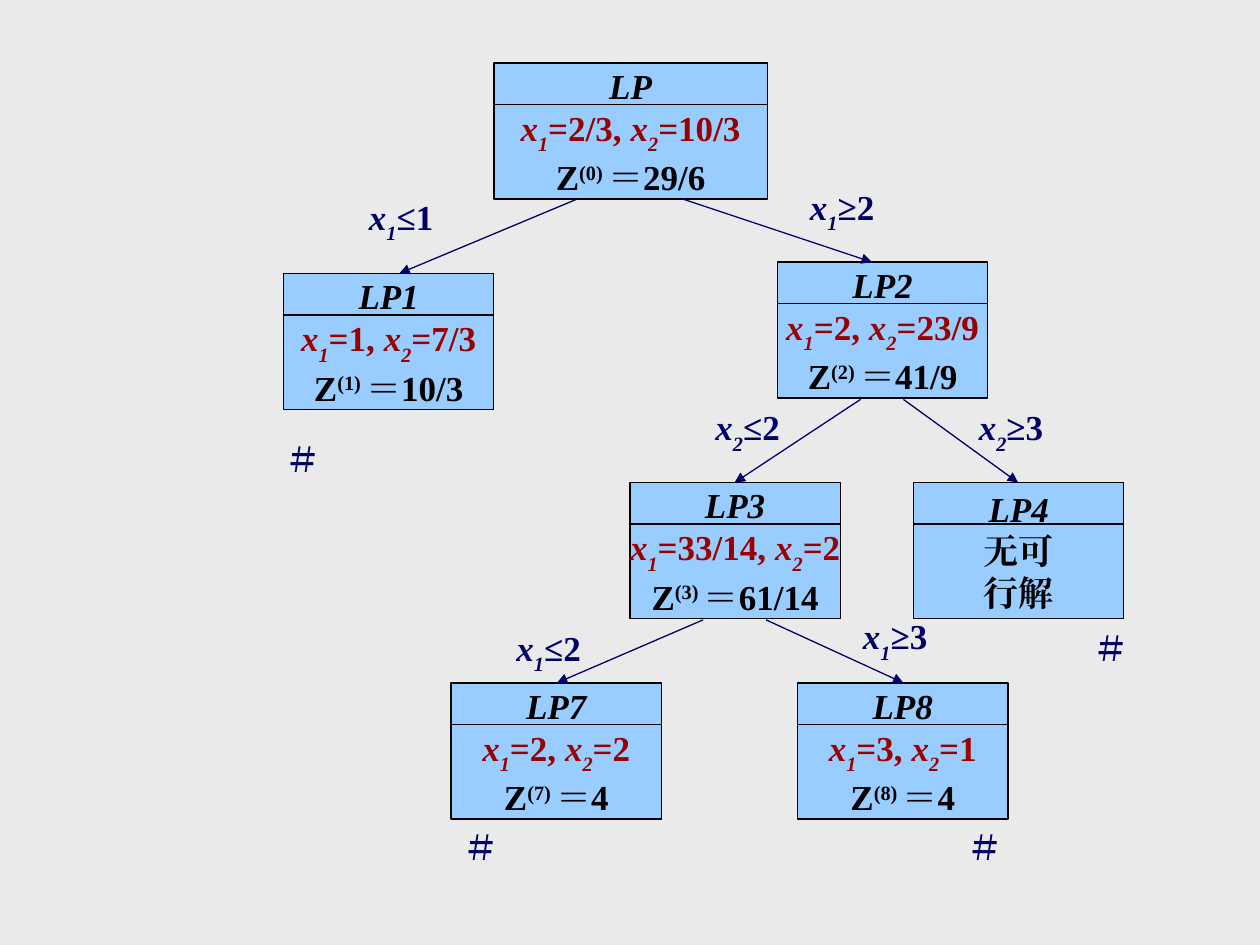
from pptx import Presentation
from pptx.dml.color import RGBColor
from pptx.enum.shapes import MSO_CONNECTOR, MSO_SHAPE
from pptx.enum.text import MSO_ANCHOR, MSO_AUTO_SIZE, PP_ALIGN
from pptx.oxml.ns import qn
from pptx.util import Inches, Pt
from lxml.etree import SubElement

BLACK, NAVY, RED = "000000", "000066", "990000"
SKY, GREY = "99CCFF", "EAEAEA"
BOX_W, BOX_H, HEAD_H = 1.67, 1.08, 0.33
SUB, SUP = -30, 30


def rgb(value):
    return RGBColor.from_string(value)


def variable(index, rest):
    return [("x", True, 0), (str(index), True, SUB), (rest, False, 0)]


def solution(x1, x2):
    return variable(1, f"={x1}, ") + variable(2, f"={x2}")


def objective(index, value):
    return [("Z", False, 0), (f"({index}) ", False, SUP), (f"＝{value}", False, 0)]


class TreeSlide:
    font, size, line_width = "Times New Roman", Pt(20), Pt(0.75)

    def __init__(self, prs):
        self.s = prs.slides.add_slide(prs.slide_layouts[6])
        fill = self.s.background.fill
        fill.solid()
        fill.fore_color.rgb = rgb(GREY)

    def runs(self, p, parts, color):
        for text, italic, baseline in parts:
            r = p.add_run()
            r.text = text
            r.font.name, r.font.size = self.font, self.size
            r.font.bold, r.font.italic = True, italic
            r.font.color.rgb = rgb(color)
            r_pr = r.font._element
            if baseline:
                r_pr.set("baseline", str(baseline * 1000))
            SubElement(r_pr, qn("a:ea")).set("typeface", self.font)

    def line(self, start, end, color=BLACK, arrow=False):
        points = [Inches(v) for v in (*start, *end)]
        cxn = self.s.shapes.add_connector(MSO_CONNECTOR.STRAIGHT, *points)
        cxn.line.color.rgb = rgb(color)
        cxn.line.width = self.line_width
        if arrow:
            SubElement(cxn.line._get_or_add_ln(), qn("a:tailEnd")).set("type", "triangle")
        SubElement(cxn._element.spPr, qn("a:effectLst"))

    def node(self, x, y, name, rows, width=BOX_W):
        sp = self.s.shapes.add_shape(
            MSO_SHAPE.RECTANGLE, Inches(x), Inches(y), Inches(width), Inches(BOX_H))
        sp.shadow.inherit = False
        sp.fill.solid()
        sp.fill.fore_color.rgb = rgb(SKY)
        sp.line.color.rgb = rgb(BLACK)
        sp.line.width = self.line_width
        tf = sp.text_frame
        tf.word_wrap = False
        tf.vertical_anchor = MSO_ANCHOR.MIDDLE
        for i, (parts, color) in enumerate([([(name, True, 0)], BLACK), *rows]):
            p = tf.add_paragraph() if i else tf.paragraphs[0]
            p.alignment = PP_ALIGN.CENTER
            self.runs(p, parts, color)
        self.line((x, y + HEAD_H), (x + width, y + HEAD_H))

    def label(self, x, y, parts, width=0.93, height=0.5, wrap=True):
        sp = self.s.shapes.add_textbox(Inches(x), Inches(y), Inches(width), Inches(height))
        tf = sp.text_frame
        tf.word_wrap = wrap
        tf.auto_size = MSO_AUTO_SIZE.SHAPE_TO_FIT_TEXT
        self.runs(tf.paragraphs[0], parts, NAVY)

    def closed(self, x, y):
        self.label(x, y, [("＃", False, 0)], 0.48, 0.44, wrap=False)


NODES = [
    (2.25, 2.17, 1, "1", "7/3", "10/3"),
    (6.17, 2.08, 2, "2", "23/9", "41/9"),
    (5, 3.83, 3, "33/14", "2", "61/14"),
    (3.58, 5.42, 7, "2", "2", "4"),
    (6.33, 5.42, 8, "3", "1", "4"),
]
BRANCHES = [
    ((4.58, 1.58), (3.17, 2.17), (2.83, 1.5), 1, "≤1"),
    ((5.42, 1.58), (6.92, 2.08), (6.33, 1.42), 1, "≥2"),
    ((6.83, 3.17), (5.83, 3.83), (5.58, 3.17), 2, "≤2"),
    ((7.17, 3.17), (8.08, 3.83), (7.67, 3.17), 2, "≥3"),
    ((5.58, 4.92), (4.42, 5.42), (4, 4.92), 1, "≤2"),
    ((6.08, 4.92), (7.17, 5.42), (6.75, 4.83), 1, "≥3"),
]
CLOSED = [(8.58, 4.92), (3.58, 6.5), (7.58, 6.5), (2.17, 3.42)]


def main():
    prs = Presentation()
    prs.slide_width, prs.slide_height = Inches(10), Inches(7.5)
    tree = TreeSlide(prs)
    tree.node(3.92, 0.5, "LP", [(solution("2/3", "10/3"), RED),
                                (objective(0, "29/6"), BLACK)], width=2.17)
    for x, y, index, x1, x2, z in NODES:
        tree.node(x, y, f"LP{index}", [(solution(x1, x2), RED),
                                       (objective(index, z), BLACK)])
    tree.node(7.25, 3.83, "LP4", [([(text, False, 0)], BLACK) for text in ("无可", "行解")])
    for start, end, place, index, bound in BRANCHES:
        tree.line(start, end, NAVY, arrow=True)
        tree.label(*place, variable(index, bound))
    for place in CLOSED:
        tree.closed(*place)
    prs.save("out.pptx")


if __name__ == "__main__":
    main()
